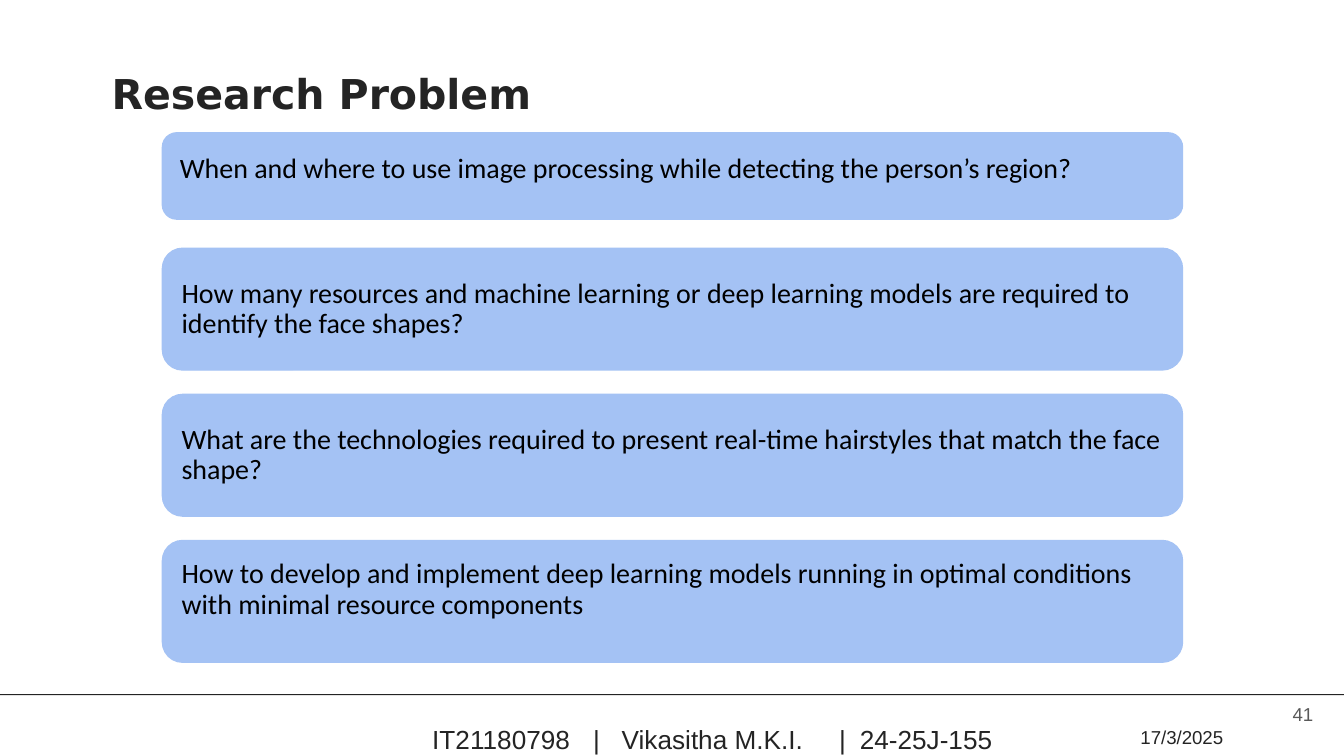
from dataclasses import dataclass

from lxml import etree
from pptx import Presentation
from pptx.dml.color import RGBColor
from pptx.enum.shapes import MSO_SHAPE
from pptx.enum.text import MSO_ANCHOR, MSO_AUTO_SIZE, PP_ALIGN
from pptx.oxml.ns import qn
from pptx.util import Cm, Pt

ROUNDED, RECTANGLE = MSO_SHAPE.ROUNDED_RECTANGLE, MSO_SHAPE.RECTANGLE
TOP, MIDDLE = MSO_ANCHOR.TOP, MSO_ANCHOR.MIDDLE
LEFT, CENTER, RIGHT = PP_ALIGN.LEFT, PP_ALIGN.CENTER, PP_ALIGN.RIGHT


@dataclass(frozen=True)
class Theme:
    ink: RGBColor = RGBColor(0x24, 0x24, 0x24)
    card: RGBColor = RGBColor(0xA4, 0xC2, 0xF4)
    card_text: RGBColor = RGBColor(0, 0, 0)
    muted: RGBColor = RGBColor(0x59, 0x59, 0x59)
    title_size: Pt = Pt(22)
    card_size: Pt = Pt(15)
    footer_size: Pt = Pt(14)
    small_size: Pt = Pt(10)


theme = Theme()


def write(shape, text, font, size, color, align=LEFT, anchor=TOP, inset=0,
          spacing=1.0, bold=False, tabs=()):
    frame = shape.text_frame
    frame.word_wrap = True
    frame.auto_size = MSO_AUTO_SIZE.NONE
    frame.vertical_anchor = anchor
    frame.margin_left = frame.margin_right = Cm(inset)
    frame.margin_top = frame.margin_bottom = Cm(inset)
    frame.text = text
    paragraph = frame.paragraphs[0]
    paragraph.alignment = align
    paragraph.line_spacing = spacing
    paragraph.space_before = Pt(0)
    if tabs:
        tab_list = etree.SubElement(paragraph._p.get_or_add_pPr(), qn("a:tabLst"))
        for position in tabs:
            etree.SubElement(tab_list, qn("a:tab"), pos=str(Cm(position)), algn="l")
    paragraph.font.name = font
    paragraph.font.size = size
    paragraph.font.bold = bold
    paragraph.font.color.rgb = color


def add_block(kind, left, top, width, height, color):
    shape = slide.shapes.add_shape(kind, Cm(left), Cm(top), Cm(width), Cm(height))
    shape.shadow.inherit = False
    shape.fill.solid()
    shape.fill.fore_color.rgb = color
    return shape


presentation = Presentation()
presentation.slide_width, presentation.slide_height = Cm(25.4), Cm(14.28)
slide = presentation.slides.add_slide(presentation.slide_layouts[5])

# Title
title = slide.shapes.title
title.left, title.top, title.width, title.height = Cm(2.11), Cm(1.02), Cm(8.56), Cm(0.94)
write(title, "Research Problem", "DejaVu Sans", theme.title_size, theme.ink,
      spacing=1.3, bold=True)

# Question cards: a short one, then three taller ones at an equal pitch
first_top, pitch, tall = 4.69, 2.76, 2.3
questions = [
    ("When and where to use image processing while detecting the person’s region?",
     2.51, 1.63, TOP, 1.0),
    ("How many resources and machine learning or deep learning models are "
     "required to identify the face shapes?", first_top, tall, MIDDLE, 0.9),
    ("What are the technologies required to present real-time hairstyles that "
     "match the face shape?", first_top + pitch, tall, MIDDLE, 0.9),
    ("How to develop and implement deep learning models running in optimal "
     "conditions with minimal resource components",
     first_top + 2 * pitch, tall, TOP, 0.9),
]
for question, top, height, anchor, spacing in questions:
    card = add_block(ROUNDED, 3.07, top, 19.28, height, theme.card)
    card.line.color.rgb = theme.card
    card.line.width = Pt(0.75)
    write(card, question, "Calibri", theme.card_size, theme.card_text,
          anchor=anchor, inset=0.25, spacing=spacing)

# Footer rule
rule = add_block(RECTANGLE, 0, 13.11, 25.4, 0.02, theme.ink)
rule.line.fill.background()

# Footer: author line, date and slide number
author = slide.shapes.add_textbox(Cm(5.74), Cm(13.49), Cm(15.49), Cm(0.61))
write(author, "IT21180798\t|\tVikasitha M.K.I.\t|\t24-25J-155", "Arial",
      theme.footer_size, theme.ink, spacing=1.3, tabs=(3.04, 3.58, 7.69, 8.08))
author.text_frame.margin_left = Cm(2.43)

date = slide.shapes.add_textbox(Cm(21.23), Cm(13.59), Cm(2.21), Cm(0.99))
write(date, "17/3/2025", "Arial", theme.small_size, theme.ink, align=CENTER, spacing=1.3)

number = slide.shapes.add_textbox(Cm(23.55), Cm(12.95), Cm(1.52), Cm(1.09))
write(number, "41", "Arial", theme.small_size, theme.muted, align=RIGHT,
      anchor=MIDDLE, inset=0.25)

presentation.save("out.pptx")
